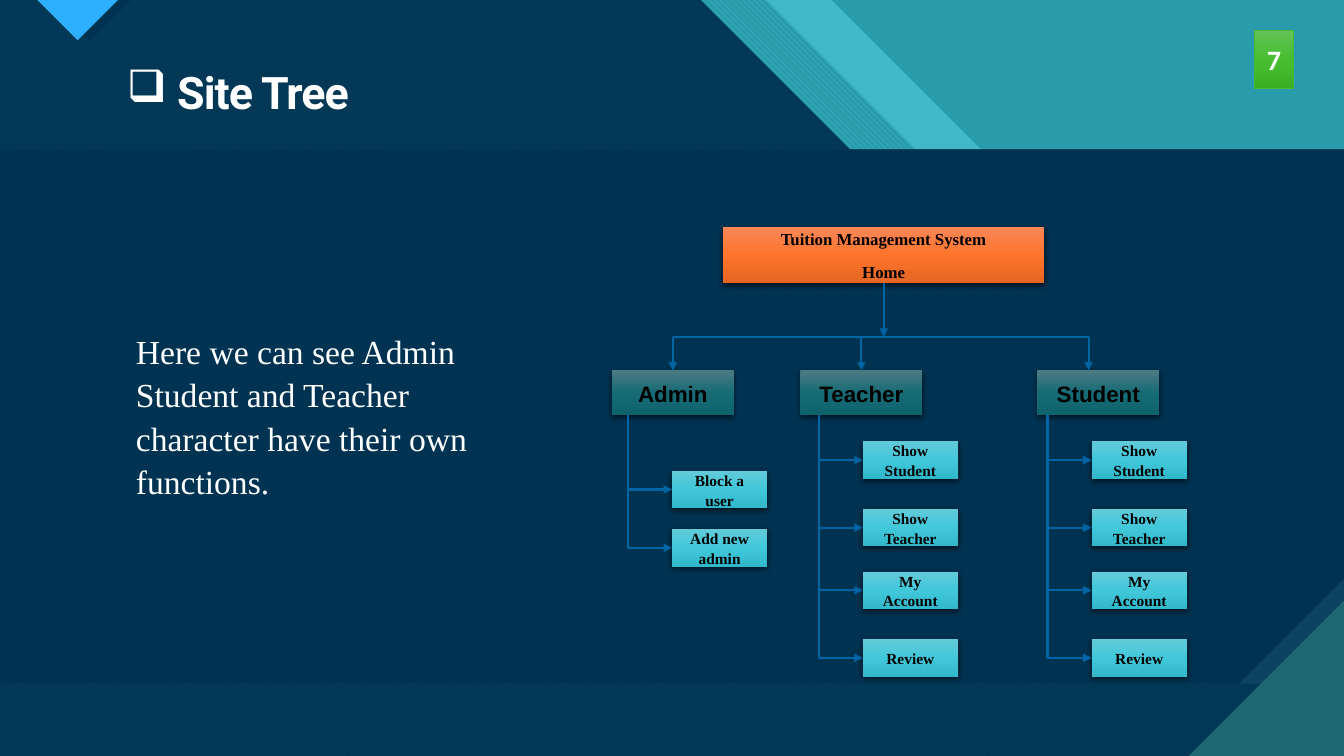
from lxml.etree import SubElement
from pptx import Presentation
from pptx.dml.color import RGBColor
from pptx.enum.dml import MSO_PATTERN
from pptx.enum.shapes import MSO_CONNECTOR, MSO_SHAPE
from pptx.enum.text import MSO_ANCHOR, MSO_AUTO_SIZE, PP_ALIGN
from pptx.oxml.ns import qn
from pptx.util import Inches, Pt

COLUMNS, ROWS = 32, 18
TOP, LEFT, BOTTOM = 0, 1, 2  # connection sites of a rectangle

COLORS = {
    "teal": "299CAB", "aqua": "47C3D3", "deep": "1B6872", "navy": "003352",
    "edge": "0C4360", "blue": "2FAFFF", "line": "0065A4", "green": "4BB836",
    "black": "000000", "white": "FFFFFF",
}
GRADIENTS = {
    "home": ("F88759", "FE742B", "E56623"),
    "role": ("4D7B83", "166B75", "0F636C"),
    "item": ("63CAD9", "40C8DA", "31B8CA"),
    "number": ("64C258", "47BE30", "3BAF24"),
}
FONTS = {
    "title": {"name": "Roboto", "size": Pt(32), "bold": True},
    "intro": {"name": "Times New Roman", "size": Pt(24), "bold": False},
    "home": {"name": "Times New Roman", "size": Pt(12), "bold": True},
    "role": {"name": "Arial", "size": Pt(16), "bold": True},
    "item": {"name": "Times New Roman", "size": Pt(11), "bold": True},
    "number": {"name": "Calibri", "size": Pt(20), "bold": True},
}
BODY = {"line_spacing": 1.07, "space_after": Pt(8)}
CENTERED = {"alignment": PP_ALIGN.CENTER, **BODY}


def color(name):
    return RGBColor.from_string(COLORS[name])


def set_values(target, values):
    for name, value in values.items():
        setattr(target, name, value)


class SlideBuilder:
    def __init__(self, presentation):
        self.slide = presentation.slides.add_slide(presentation.slide_layouts[5])
        self.shapes = self.slide.shapes
        self.column = presentation.slide_width / COLUMNS
        self.row = presentation.slide_height / ROWS

    def place(self, x, y):
        return round(x * self.column), round(y * self.row)

    def background(self, name):
        fill = self.slide.background.fill
        fill.solid()
        fill.fore_color.rgb = color(name)

    def polygon(self, points, fill, back=None, pattern=None, opacity=100):
        """Closed outline with a plain or patterned fill."""
        start, *others = [self.place(*point) for point in points]
        outline = self.shapes.build_freeform(*start)
        outline.add_line_segments(others, close=True)
        shape = outline.convert_to_shape()
        shape.shadow.inherit = False
        shape.line.fill.background()
        if pattern:
            shape.fill.patterned()
            shape.fill.pattern = pattern
            shape.fill.back_color.rgb = color(back)
        else:
            shape.fill.solid()
        shape.fill.fore_color.rgb = color(fill)
        if opacity < 100:
            value = shape._element.spPr.find(".//" + qn("a:srgbClr"))
            SubElement(value, qn("a:alpha"), val=str(opacity * 1000))

    def fill_text(self, frame, lines, style, ink, paragraph_values):
        frame.word_wrap = True
        frame.text = "\n".join(lines)
        for paragraph in frame.paragraphs:
            set_values(paragraph, paragraph_values)
            for run in paragraph.runs:
                set_values(run.font, FONTS[style])
                run.font.color.rgb = color(ink)

    def title(self, text, x, y, width, height):
        shape = self.shapes.title
        shape.left, shape.top = self.place(x, y)
        shape.width, shape.height = self.place(width, height)
        frame = shape.text_frame
        self.fill_text(frame, [text], "title", "white",
                       {"alignment": PP_ALIGN.LEFT, "line_spacing": 0.9})
        set_values(frame, {"vertical_anchor": MSO_ANCHOR.MIDDLE,
                           "auto_size": MSO_AUTO_SIZE.NONE})
        paragraph = frame.paragraphs[0]
        paragraph.runs[0]._r.get_or_add_rPr().set("spc", "-70")
        properties = paragraph._p.get_or_add_pPr()
        properties.set("marL", str(Inches(0.5)))
        properties.set("indent", str(-Inches(0.5)))
        SubElement(properties, qn("a:buChar"), char="❑")
        self.shapes._spTree.append(shape._element)  # in front of the backdrop

    def text(self, text, style, x, y, width, height):
        shape = self.shapes.add_textbox(*self.place(x, y), *self.place(width, height))
        self.fill_text(shape.text_frame, [text], style, "white", BODY)

    def box(self, lines, style, x, y, width, height, ink="black", border=None):
        """Gradient rectangle: bordered, or with a soft shadow below."""
        shape = self.shapes.add_shape(MSO_SHAPE.RECTANGLE, *self.place(x, y),
                                      *self.place(width, height))
        shape.shadow.inherit = False
        shape.fill.gradient()
        shape.fill.gradient_angle = 270
        properties = shape._element.spPr
        stops = properties.find(".//" + qn("a:gsLst"))
        stops.clear()
        for position, value in zip((0, 50000, 100000), GRADIENTS[style]):
            stop = SubElement(stops, qn("a:gs"), pos=str(position))
            SubElement(stop, qn("a:srgbClr"), val=value)
        if border:
            shape.line.color.rgb = color(border)
            shape.line.width = Pt(0.5)
        else:
            shape.line.fill.background()
            shadow = SubElement(properties.find(qn("a:effectLst")), qn("a:outerShdw"),
                                blurRad=str(Pt(4.5)), dist=str(Pt(1.5)),
                                dir="5400000", algn="ctr", rotWithShape="0")
            value = SubElement(shadow, qn("a:srgbClr"), val=COLORS["black"])
            SubElement(value, qn("a:alpha"), val="63000")
        shape.text_frame.vertical_anchor = MSO_ANCHOR.MIDDLE
        self.fill_text(shape.text_frame, lines, style, ink,
                       {"alignment": PP_ALIGN.CENTER} if border else CENTERED)
        return shape

    def line(self, start, end, arrow=True, begin_join=None, end_join=None):
        connector = self.shapes.add_connector(MSO_CONNECTOR.STRAIGHT,
                                              *self.place(*start), *self.place(*end))
        if begin_join:
            connector.begin_connect(*begin_join)
        if end_join:
            connector.end_connect(*end_join)
        connector.line.width = Pt(1.5)
        connector.line.color.rgb = color("line")
        if arrow:
            outline = connector._element.spPr.find(qn("a:ln"))
            SubElement(outline, qn("a:tailEnd"), type="triangle")
        SubElement(connector._element.spPr, qn("a:effectLst"))


def draw_backdrop(builder):
    def fold(top, shoulder):
        """Sheet whose right edge slants down at 45 degrees, twice."""
        depth = 7.13
        return [(0, 0), (top, 0), (top + depth, depth), (shoulder, depth),
                (COLUMNS, depth + COLUMNS - shoulder), (COLUMNS, ROWS), (0, ROWS)]

    builder.background("teal")
    builder.polygon(fold(19.8, 29.62), "aqua", opacity=74)
    builder.polygon(fold(18.24, 28.42), "aqua", "teal", MSO_PATTERN.WIDE_DOWNWARD_DIAGONAL)
    builder.polygon(fold(16.68, 26.84), "aqua", "deep", MSO_PATTERN.WIDE_UPWARD_DIAGONAL)
    builder.polygon(fold(16.68, 26.84), "navy", opacity=90)
    # Corner mark at the top left
    builder.polygon([(1.15, 0), (2.16, 0.98), (3.14, 0)], "navy")
    builder.polygon([(0.89, 0), (1.85, 0.96), (2.81, 0)], "blue")
    # Content panel with a cut corner, and the corner triangle
    top, bottom = 3.56, 16.28
    for fill, cut in (("edge", 0), ("navy", 2.5)):
        builder.polygon([(0, top), (COLUMNS, top), (COLUMNS, bottom - cut),
                         (COLUMNS - cut, bottom), (0, bottom)], fill)
    builder.polygon([(28.3, ROWS), (COLUMNS, ROWS), (COLUMNS, 14.3)], "deep")


def draw_tree(builder):
    home = builder.box(["Tuition Management System", "Home"], "home", 17.21, 5.4, 7.66, 1.34)
    bus, role_top, role_width, role_height = 8.02, 8.82, 2.9, 1.06
    item_width, item_height = 2.27, 0.89
    admin_items = {"Block a user": 11.21, "Add new admin": 12.6}
    member_items = {"Show Student": 10.51, "Show Teacher": 12.12,
                    "My Account": 13.61, "Review": 15.22}
    # Role, left side, arrow from the bus, trunk, tops of the items
    branches = [("Admin", 14.57, 16.02, 14.95, admin_items),
                ("Teacher", 19.06, 20.51, 19.49, member_items),
                ("Student", 24.7, 25.92, 24.94, member_items)]
    builder.line((branches[0][2], bus), (branches[-1][2], bus), arrow=False)
    builder.line((21.04, 6.74), (21.04, bus), begin_join=(home, BOTTOM))

    for role, left, drop, trunk, items in branches:
        role_box = builder.box([role], "role", left, role_top, role_width, role_height)
        centered = abs(left + role_width / 2 - drop) < 0.01
        builder.line((drop, bus), (drop, role_top),
                     end_join=(role_box, TOP) if centered else None)
        for item, top in items.items():
            item_left, middle = trunk + 1.05, top + item_height / 2
            item_box = builder.box([item], "item", item_left, top, item_width, item_height)
            builder.line((trunk, middle), (item_left, middle), end_join=(item_box, LEFT))
        builder.line((trunk, role_top + role_height), (trunk, middle), arrow=False)


def main():
    presentation = Presentation()
    presentation.slide_width, presentation.slide_height = Inches(13.33), Inches(7.5)
    builder = SlideBuilder(presentation)
    draw_backdrop(builder)
    builder.title("Site Tree", 2.78, 1.54, 16, 1.42)
    draw_tree(builder)
    builder.text("Here we can see Admin Student and Teacher character have their own functions.",
                 "intro", 3, 7.7, 9.72, 4.39)
    builder.box(["7"], "number", 29.86, 0.72, 0.94, 1.39, ink="white", border="green")
    presentation.save("out.pptx")


if __name__ == "__main__":
    main()
